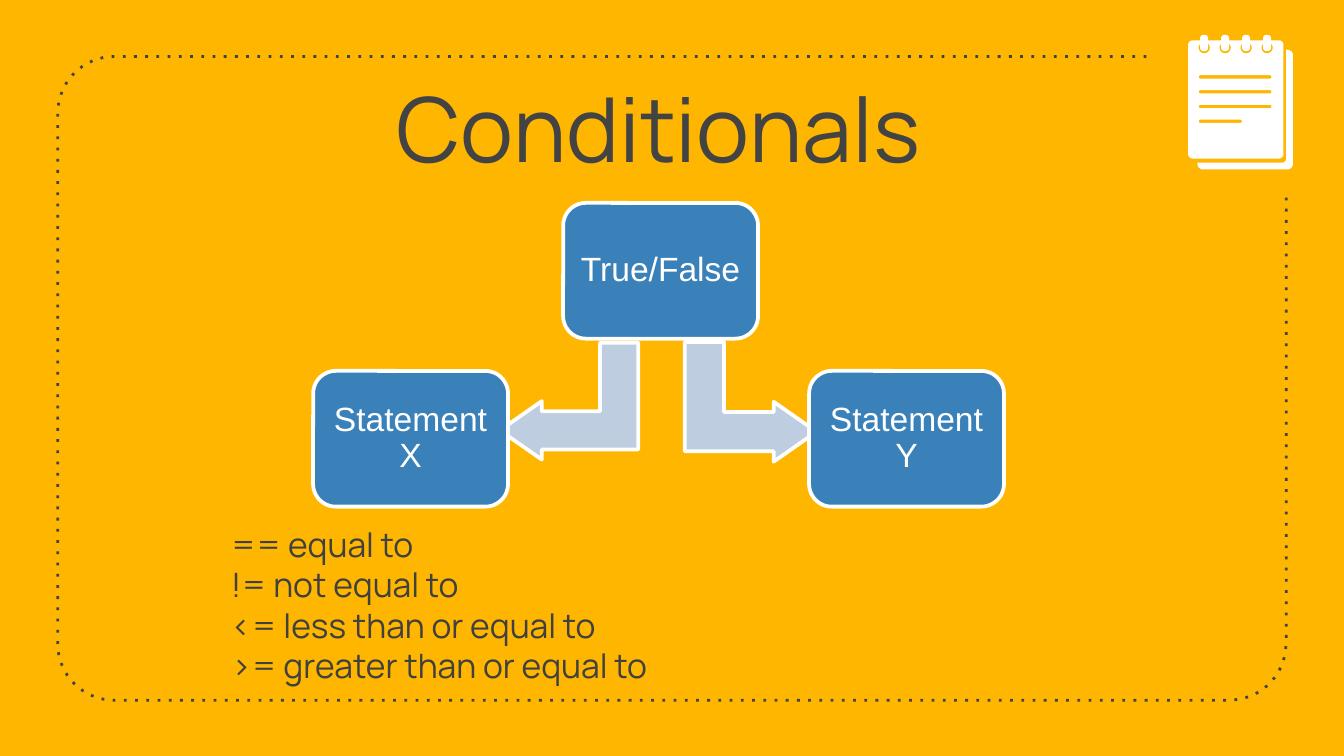
from dataclasses import dataclass
from math import cos, radians, sin

from pptx import Presentation
from pptx.dml.color import RGBColor
from pptx.enum.dml import MSO_LINE
from pptx.enum.shapes import MSO_SHAPE
from pptx.enum.text import MSO_ANCHOR, MSO_AUTO_SIZE, PP_ALIGN
from pptx.oxml.ns import qn
from pptx.util import Inches, Pt

# Content
TITLE = "Conditionals"
BOXES = [  # text, left, top
    ("True/False", 4.19, 1.51),
    ("Statement Y", 6.02, 2.76),
    ("Statement X", 2.33, 2.76),
]
ARROWS = [  # left, top, width, height, rotation, mirrored
    (5.14, 2.5, 0.89, 0.98, 90, False),
    (3.8, 2.47, 0.87, 1.03, 270, True),
]
OPERATORS = [
    "== equal to",
    "!= not equal to",
    "<= less than or equal to",
    ">= greater than or equal to",
]


@dataclass(frozen=True)
class Theme:
    background: str = "FFB600"
    dark: str = "434343"
    body: str = "404040"
    white: str = "FFFFFF"
    box: str = "3A81BA"
    arrow: str = "BFCDE0"
    font: str = "Manrope"
    box_font: str = "Arial"
    title_size: int = 48
    text_size: int = 18


THEME = Theme()
SLIDE_WIDTH = 10
SLIDE_HEIGHT = SLIDE_WIDTH * 9 / 16
BOX_SIZE = (1.45, 1.01)


def color(value):
    return RGBColor.from_string(value)


def place(shape, left, top, width, height):
    shape.left, shape.top = Inches(left), Inches(top)
    shape.width, shape.height = Inches(width), Inches(height)


def write(shape, lines, font=THEME.font, size=THEME.text_size, ink=THEME.body,
          align=PP_ALIGN.LEFT, anchor=MSO_ANCHOR.TOP, inset=0.1,
          inset_y=None, spacing=1.0, fit=MSO_AUTO_SIZE.NONE):
    frame = shape.text_frame
    frame.word_wrap = True
    frame.auto_size = fit
    frame.vertical_anchor = anchor
    frame.margin_left = frame.margin_right = Inches(inset)
    frame.margin_top = frame.margin_bottom = Inches(inset if inset_y is None else inset_y)
    for index, line in enumerate(lines):
        paragraph = frame.add_paragraph() if index else frame.paragraphs[0]
        paragraph.alignment = align
        paragraph.line_spacing = spacing
        run = paragraph.add_run()
        run.text = line
        run.font.name = font
        run.font.size = Pt(size)
        run.font.color.rgb = color(ink)


def paint(shape, fill=None, line=None, width=2):
    shape.shadow.inherit = False
    if fill:
        shape.fill.solid()
        shape.fill.fore_color.rgb = color(fill)
    else:
        shape.fill.background()
    if line:
        shape.line.color.rgb = color(line)
        shape.line.width = Pt(width)
    else:
        shape.line.fill.background()


def arc(center_x, center_y, radius, start, end, steps=8):
    angles = [radians(start + (end - start) * i / steps) for i in range(steps + 1)]
    return [(center_x + radius * cos(a), center_y + radius * sin(a)) for a in angles]


def rounded(left, top, width, height, radius):
    right, bottom = left + width - radius, top + height - radius
    left, top = left + radius, top + radius
    return (arc(left, top, radius, 180, 270) + arc(right, top, radius, 270, 360)
            + arc(right, bottom, radius, 0, 90) + arc(left, bottom, radius, 90, 180))


def outline(shapes, contours, close=True):
    builder = None
    for contour in contours:
        points = [(Inches(x), Inches(y)) for x, y in contour]
        if builder is None:
            builder = shapes.build_freeform(*points[0])
        else:
            builder.move_to(*points[0])
        builder.add_line_segments(points[1:], close=close)
    return builder.convert_to_shape()


def add_border(slide):
    left, top, right, bottom, radius = 0.43, 0.42, 9.57, 5.21, 0.42
    points = ([(8.53, top)]
              + arc(left + radius, top + radius, radius, 270, 180)
              + arc(left + radius, bottom - radius, radius, 180, 90)
              + arc(right - radius, bottom - radius, radius, 90, 0)
              + [(right, 1.46)])
    border = outline(slide.shapes, [points], close=False)
    paint(border, line=THEME.dark, width=1.5)
    # The widely spaced dot has no member in MSO_LINE
    border.line.dash_style = MSO_LINE.ROUND_DOT
    border._element.spPr.find(".//" + qn("a:prstDash")).set("val", "dot")


def add_notepad(slide):
    group = slide.shapes.add_group_shape()
    # Back sheet, seen along the right and bottom edges
    back = ([(9.57, 0.37)] + arc(9.54, 1.18, 0.03, 0, 90) + [(8.91, 1.21)]
            + arc(8.95, 1.22, 0.04, 180, 90) + arc(9.58, 1.22, 0.04, 90, 0)
            + arc(9.58, 0.41, 0.04, 0, -90))
    paint(outline(group.shapes, [back]), fill=THEME.white)
    # Rings, and the front sheet with its holes and ruled lines cut out
    ring_centers = [8.96 + 0.156 * i for i in range(4)]
    for center in ring_centers:
        ring = outline(group.shapes, [rounded(center - 0.03, 0.26, 0.06, 0.12, 0.025)])
        paint(ring, fill=THEME.white)
    holes = [arc(center, 0.355, 0.042, 360, 0, 24) for center in ring_centers]
    line_widths = [0.54, 0.54, 0.54, 0.32]
    rules = [rounded(8.92, 0.56 + 0.11 * row, width, 0.025, 0.012)[::-1]
             for row, width in enumerate(line_widths)]
    sheet = rounded(8.84, 0.3, 0.71, 0.88, 0.035)
    paint(outline(group.shapes, [sheet] + holes + rules), fill=THEME.white)


def add_diagram(slide):
    for left, top, width, height, rotation, mirrored in ARROWS:
        arrow = slide.shapes.add_shape(
            MSO_SHAPE.BENT_UP_ARROW, *map(Inches, (left, top, width, height)))
        for index, value in enumerate((0.328, 0.25, 0.358)):
            arrow.adjustments[index] = value
        arrow.rotation = rotation
        if mirrored:
            arrow._element.spPr.xfrm.set("flipH", "1")
        paint(arrow, THEME.arrow, THEME.white)
    for text, left, top in BOXES:
        box = slide.shapes.add_shape(
            MSO_SHAPE.ROUNDED_RECTANGLE, *map(Inches, (left, top, *BOX_SIZE)))
        paint(box, THEME.box, THEME.white)
        write(box, [text], font=THEME.box_font, ink=THEME.white, inset=0.07,
              align=PP_ALIGN.CENTER, anchor=MSO_ANCHOR.MIDDLE, spacing=0.9)


def main():
    presentation = Presentation()
    presentation.slide_width = Inches(SLIDE_WIDTH)
    presentation.slide_height = Inches(SLIDE_HEIGHT)
    slide = presentation.slides.add_slide(presentation.slide_layouts[5])
    slide.background.fill.solid()
    slide.background.fill.fore_color.rgb = color(THEME.background)

    # Title
    title = slide.shapes.title
    place(title, 0.65, 0.17, 8.5, 1.27)
    write(title, [TITLE], size=THEME.title_size, ink=THEME.dark,
          align=PP_ALIGN.CENTER, anchor=MSO_ANCHOR.BOTTOM)

    # Frame, icon and flow
    add_border(slide)
    add_notepad(slide)
    add_diagram(slide)

    # Comparison operators
    operators = slide.shapes.add_textbox(*map(Inches, (1.62, 3.85, 5.94, 1.31)))
    write(operators, OPERATORS, inset_y=0.05, fit=MSO_AUTO_SIZE.SHAPE_TO_FIT_TEXT)

    presentation.save("out.pptx")


if __name__ == "__main__":
    main()
